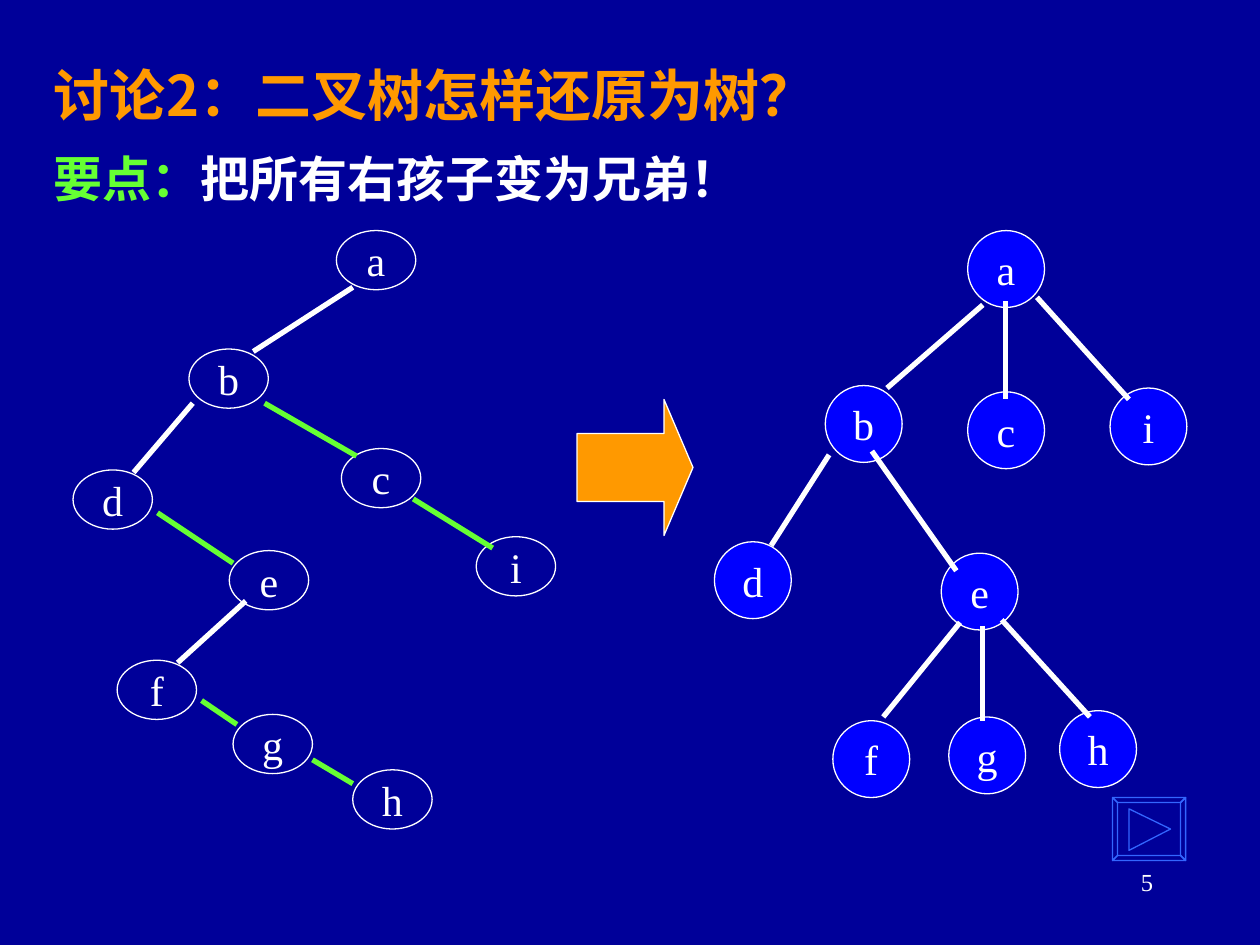
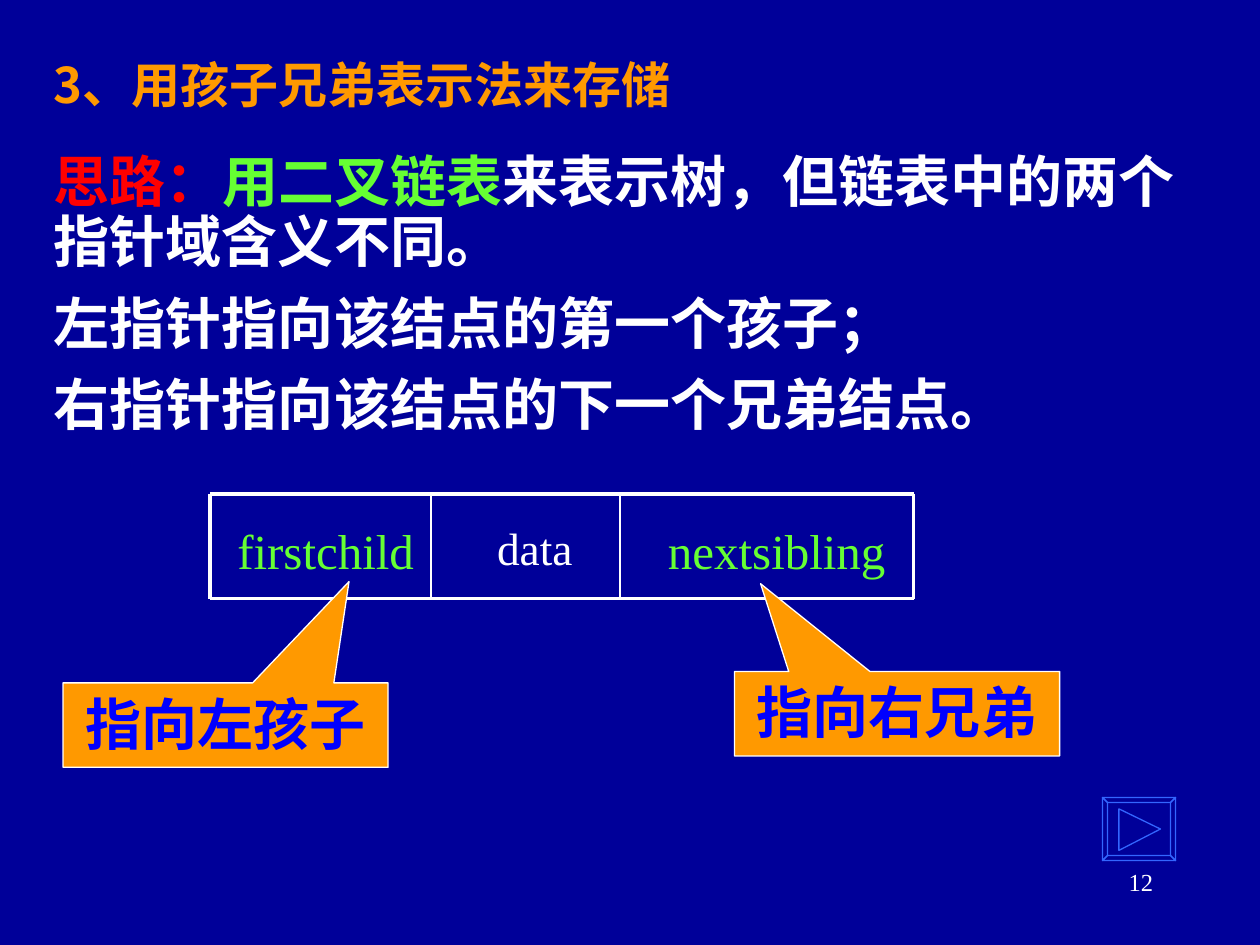
import pptx
import pptx.util
import pptx.dml.color
import pptx.enum.shapes
import pptx.enum.text
import pptx.oxml.ns
from lxml import etree

Inches = pptx.util.Inches
SHAPE = pptx.enum.shapes.MSO_SHAPE
ALIGN = pptx.enum.text.PP_ALIGN
ANCHOR = pptx.enum.text.MSO_ANCHOR

NAVY, BLUE, SKY = "000099", "0000FF", "3366FF"
ORANGE, GREEN, RED, WHITE = "FF9900", "66FF33", "FF0000", "FFFFFF"
HAN = {"name": "Noto Sans CJK SC", "bold": True}
ROMAN = {"name": "Times New Roman", "bold": False}


def paint(target, color):
    target.rgb = pptx.dml.color.RGBColor.from_string(color)


def apply(target, values):
    for key, value in values.items():
        setattr(target, key, value)


def add_run(para, text, face, size, color):
    run = para.add_run()
    run.text = text
    apply(run.font, {**face, "size": pptx.util.Pt(size)})
    run.font.fill.solid()
    paint(run.font.fill.fore_color, color)
    east = etree.SubElement(run.font._element, pptx.oxml.ns.qn("a:ea"))
    east.set("typeface", face["name"])


def fill_text(shape, paras, face, size, align=ALIGN.LEFT, anchor=ANCHOR.TOP,
              wrap=True, gap=0):
    frame = shape.text_frame
    apply(frame, {"word_wrap": wrap, "vertical_anchor": anchor})
    for index, runs in enumerate(paras):
        para = frame.add_paragraph() if index else frame.paragraphs[0]
        para.alignment = align
        if index:
            para.space_before = pptx.util.Pt(gap)
        for text, color in runs:
            add_run(para, text, face, size, color)
    return frame


def add_text(slide, box, paras, face, size, **style):
    shape = slide.shapes.add_textbox(*map(Inches, box))
    return fill_text(shape, paras, face, size, **style)


def trim(shape, fill, line):
    shape.shadow.inherit = False
    if fill:
        shape.fill.solid()
        paint(shape.fill.fore_color, fill)
    else:
        shape.fill.background()
    paint(shape.line.color, line)
    shape.line.width = pptx.util.Pt(0.75)


def add_shape(slide, kind, box, fill=None, bends=()):
    shape = slide.shapes.add_shape(kind, *map(Inches, box))
    trim(shape, fill, WHITE)
    for index, bend in enumerate(bends):
        shape.adjustments[index] = bend
    return shape


def add_line(slide, ends, color=WHITE, width=3):
    line = slide.shapes.add_connector(
        pptx.enum.shapes.MSO_CONNECTOR.STRAIGHT, *map(Inches, ends))
    paint(line.line.color, color)
    line.line.width = pptx.util.Pt(width)
    etree.SubElement(line._element.spPr, pptx.oxml.ns.qn("a:effectLst"))


def add_button(slide, left):
    top, wide, high, rim = 6.33, 0.58, 0.5, 0.04
    right, base = left + wide, top + high
    outer = [(left, top), (right, top), (right, base), (left, base)]
    inner = [(left + rim, top + rim), (right - rim, top + rim),
             (right - rim, base - rim), (left + rim, base - rim)]
    loops = [outer]
    for i in range(4):
        j = (i + 1) % 4
        loops.append([outer[i], outer[j], inner[j], inner[i]])
    loops.append([(left + 0.13, top + 0.09), (left + 0.46, top + 0.25),
                  (left + 0.13, top + 0.42)])
    spots = [[(Inches(x), Inches(y)) for x, y in loop] for loop in loops]
    pen = slide.shapes.build_freeform(*spots[0][0])
    for index, loop in enumerate(spots):
        if index:
            pen.move_to(*loop[0])
        pen.add_line_segments(loop[1:], close=True)
    trim(pen.convert_to_shape(), None, SKY)


def add_tree(slide, nodes, size, fill, edges):
    for name, spot in nodes.items():
        node = add_shape(slide, SHAPE.OVAL, (*spot, *size), fill)
        fill_text(node, [[(name, WHITE)]], ROMAN, 24, align=ALIGN.CENTER,
                  anchor=ANCHOR.MIDDLE, wrap=False)
    for color, lines in edges.items():
        for ends in lines:
            add_line(slide, ends, color)


def add_call(slide, spot, text, bends):
    call = add_shape(slide, SHAPE.RECTANGULAR_CALLOUT, (*spot, 2.58, 0.67),
                     ORANGE, bends)
    fill_text(call, [[(text, BLUE)]], HAN, 32, align=ALIGN.CENTER)


def add_slide(deck, title, size, box, number, button):
    slide = deck.slides.add_slide(deck.slide_layouts[6])
    slide.background.fill.solid()
    paint(slide.background.fill.fore_color, NAVY)
    add_text(slide, box, [[(title, ORANGE)]], HAN, size, anchor=ANCHOR.MIDDLE)
    add_button(slide, button)
    add_text(slide, (7.17, 6.83, 2.08, 0.5), [[(number, WHITE)]], ROMAN, 14,
             align=ALIGN.RIGHT)
    return slide


def build_trees(deck):
    slide = add_slide(deck, "讨论2：二叉树怎样还原为树？", 32,
                      (0.33, 0.33, 6.92, 0.83), "5", 8.83)
    add_text(slide, (0.33, 1.13, 5.75, 0.64),
             [[("要点：", GREEN), ("把所有右孩子变为兄弟！", WHITE)]], HAN, 28)
    binary = {"a": (2.67, 1.83), "b": (1.5, 2.77), "c": (2.71, 3.56),
              "d": (0.58, 3.73), "e": (1.82, 4.37), "f": (0.93, 5.24),
              "g": (1.85, 5.67), "h": (2.8, 6.11), "i": (3.78, 4.26)}
    add_tree(slide, binary, (0.63, 0.47), None, {
        WHITE: [(2.8, 2.28, 2.01, 2.79), (1.53, 3.2, 1.06, 3.75),
                (1.95, 4.77, 1.41, 5.26)],
        GREEN: [(2.1, 3.2, 2.83, 3.62), (3.28, 3.96, 3.91, 4.35),
                (1.25, 4.07, 1.85, 4.47), (1.6, 5.56, 1.88, 5.75),
                (2.48, 6.03, 2.8, 6.22)]})
    normal = {"a": (7.68, 1.83), "b": (6.55, 3.06), "c": (7.68, 3.11),
              "d": (5.67, 4.3), "e": (7.47, 4.39), "f": (6.61, 5.72),
              "g": (7.53, 5.69), "h": (8.41, 5.64), "i": (8.81, 3.08)}
    add_tree(slide, normal, (0.61, 0.61), BLUE, {
        WHITE: [(7.8, 2.42, 7.04, 3.08), (7.98, 2.39, 7.98, 3.17),
                (8.23, 2.36, 8.96, 3.17), (6.58, 3.61, 6.12, 4.33),
                (6.92, 3.58, 7.59, 4.53), (7.62, 4.94, 7.01, 5.69),
                (7.8, 4.97, 7.8, 5.72), (7.95, 4.92, 8.65, 5.69)]})
    add_shape(slide, SHAPE.RIGHT_ARROW, (4.58, 3.17, 0.92, 1.08), ORANGE,
              (0.5, 0.25))


def build_store(deck):
    slide = add_slide(deck, "3、用孩子兄弟表示法来存储", 28,
                      (0.33, 0.33, 5.33, 0.67), "12", 8.75)
    frame = add_text(slide, (0.33, 1.17, 9.17, 2.35), [
        [("思路：", RED), ("用二叉链表", GREEN),
         ("来表示树，但链表中的两个指针域含义不同。", WHITE)],
        [("左指针指向该结点的第一个孩子；", WHITE)],
        [("右指针指向该结点的下一个兄弟结点。", WHITE)]], HAN, 32, gap=8)
    frame.paragraphs[0].line_spacing = 0.9
    fields = [("firstchild", 1.75, 1.67, 28, GREEN),
              ("data", 3.58, 1.33, 25.9, WHITE),
              ("nextsibling", 5.08, 2.17, 28, GREEN)]
    for text, left, wide, size, color in fields:
        add_text(slide, (left, 4.08, wide, 0.58), [[(text, color)]], ROMAN,
                 size, align=ALIGN.CENTER)
    left, right, top, base = 1.67, 7.25, 3.92, 4.75
    for y in (top, base):
        add_line(slide, (left, y, right, y), width=2.25)
    for x, width in ((left, 2.25), (3.42, 1), (4.92, 1), (right, 2.25)):
        add_line(slide, (x, top, x, base), width=width)
    add_call(slide, (0.5, 5.42), "指向左孩子", (0.38, -1.7))
    add_call(slide, (5.83, 5.33), "指向右兄弟", (-0.42, -1.54))


def main():
    deck = pptx.Presentation()
    apply(deck, {"slide_width": Inches(10), "slide_height": Inches(7.5)})
    build_trees(deck)
    build_store(deck)
    deck.save("out.pptx")


if __name__ == "__main__":
    main()
